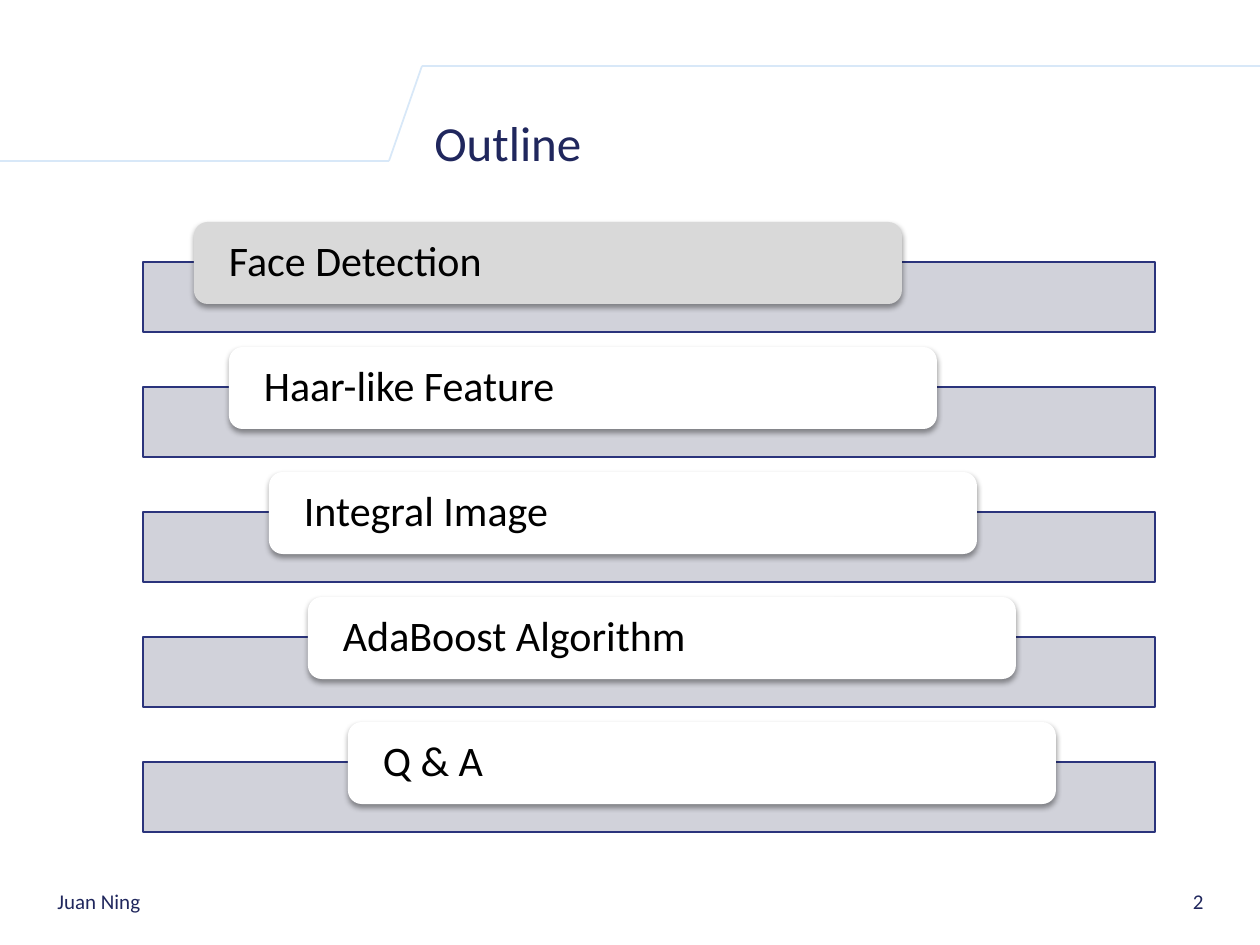
"""Builds an outline slide with five stepped topic cards."""
from dataclasses import dataclass

from lxml import etree
from pptx import Presentation
from pptx import util as u
from pptx.dml.color import RGBColor
from pptx.enum import shapes, text
from pptx.oxml.ns import qn
from pptx.shapes.autoshape import Shape
from pptx.slide import Slide

PX_PER_INCH = 126
NAVY = RGBColor(0x20, 0x27, 0x5D)
RAIL_EDGE = RGBColor(0x2B, 0x34, 0x7C)
RAIL_FILL = RGBColor(0xCD, 0xCE, 0xD7)
PALE_BLUE = RGBColor(0xD8, 0xE8, 0xF8)
GREY = RGBColor(0xD9, 0xD9, 0xD9)
WHITE = RGBColor(0xFF, 0xFF, 0xFF)
BLACK = RGBColor(0, 0, 0)
FONT = "Calibri"

RAIL_LEFT, RAIL_TOP, RAIL_WIDTH, RAIL_HEIGHT = 143, 262, 1012, 70
CARD_TOP, CARD_WIDTH, CARD_HEIGHT, CARD_INSET = 222, 708, 82, 31
ROW_PITCH = 125


@dataclass(frozen=True)
class Topic:
    name: str
    left: int
    fill: RGBColor = WHITE


@dataclass(frozen=True)
class Label:
    words: str
    left: int
    top: int
    width: int
    height: int
    size: int
    align: text.PP_ALIGN = text.PP_ALIGN.LEFT


TOPICS = [
    Topic("Face Detection", 194, GREY),
    Topic("Haar-like Feature", 229),
    Topic("Integral Image", 269),
    Topic("AdaBoost Algorithm", 308),
    Topic("Q & A", 348),
]
LABELS = [
    Label("2", 903, 876, 313, 50, 12, text.PP_ALIGN.RIGHT),
    Label("Outline", 422, 96, 794, 91, 28),
    Label("Juan Ning", 45, 876, 752, 50, 12),
]
HEADER_POINTS = [(0, 161), (389, 161), (422, 66), (1260, 66)]


def px(length: int) -> u.Emu:
    return u.Emu(round(length * 914400 / PX_PER_INCH))


def write(shape: Shape, words: str, size: int, color: RGBColor, align: text.PP_ALIGN) -> None:
    frame = shape.text_frame
    frame.word_wrap = True
    frame.vertical_anchor = text.MSO_ANCHOR.MIDDLE
    paragraph = frame.paragraphs[0]
    paragraph.text = words
    paragraph.alignment = align
    paragraph.font.name = FONT
    paragraph.font.size = u.Pt(size)
    paragraph.font.color.rgb = color


def draw_label(slide: Slide, label: Label) -> None:
    box = slide.shapes.add_textbox(px(label.left), px(label.top), px(label.width), px(label.height))
    write(box, label.words, label.size, NAVY, label.align)


def draw_header_line(slide: Slide, start: tuple[int, int], end: tuple[int, int]) -> None:
    line = slide.shapes.add_connector(shapes.MSO_CONNECTOR.STRAIGHT, *map(px, start + end))
    line.line.color.rgb = PALE_BLUE
    line.line.width = u.Pt(1)
    etree.SubElement(line._element.spPr, qn("a:effectLst"))


def add_filled(slide: Slide, kind: shapes.MSO_SHAPE, left: int, top: int,
               width: int, height: int, fill: RGBColor) -> Shape:
    shape = slide.shapes.add_shape(kind, px(left), px(top), px(width), px(height))
    shape.shadow.inherit = False
    shape.fill.solid()
    shape.fill.fore_color.rgb = fill
    return shape


def add_soft_shadow(shape: Shape) -> None:
    effects = shape._element.spPr.find(qn("a:effectLst"))
    shadow = etree.SubElement(effects, qn("a:outerShdw"), blurRad="40000", dist="20000",
                              dir="5400000", rotWithShape="0")
    color = etree.SubElement(shadow, qn("a:srgbClr"), val=str(BLACK))
    etree.SubElement(color, qn("a:alpha"), val="38000")


def draw_topic(slide: Slide, topic: Topic, row: int) -> None:
    offset = row * ROW_PITCH
    rail = add_filled(slide, shapes.MSO_SHAPE.RECTANGLE, RAIL_LEFT, RAIL_TOP + offset,
                      RAIL_WIDTH, RAIL_HEIGHT, RAIL_FILL)
    rail.line.color.rgb = RAIL_EDGE
    rail.line.width = u.Pt(0.75)
    rail_color = rail._element.spPr.find(qn("a:solidFill")).find(qn("a:srgbClr"))
    etree.SubElement(rail_color, qn("a:alpha"), val="90000")

    card = add_filled(slide, shapes.MSO_SHAPE.ROUNDED_RECTANGLE, topic.left, CARD_TOP + offset,
                      CARD_WIDTH, CARD_HEIGHT, topic.fill)
    card.line.fill.background()
    add_soft_shadow(card)
    write(card, topic.name, 24, BLACK, text.PP_ALIGN.LEFT)
    frame = card.text_frame
    frame.margin_left = frame.margin_right = px(CARD_INSET)
    frame.margin_top = frame.margin_bottom = 0
    frame.paragraphs[0].line_spacing = 0.9


def main() -> None:
    presentation = Presentation()
    presentation.slide_width, presentation.slide_height = px(1260), px(945)
    slide = presentation.slides.add_slide(presentation.slide_layouts[6])
    for start, end in zip(HEADER_POINTS, HEADER_POINTS[1:]):
        draw_header_line(slide, start, end)
    for label in LABELS:
        draw_label(slide, label)
    for row, topic in enumerate(TOPICS):
        draw_topic(slide, topic, row)
    presentation.save("out.pptx")


if __name__ == "__main__":
    main()
